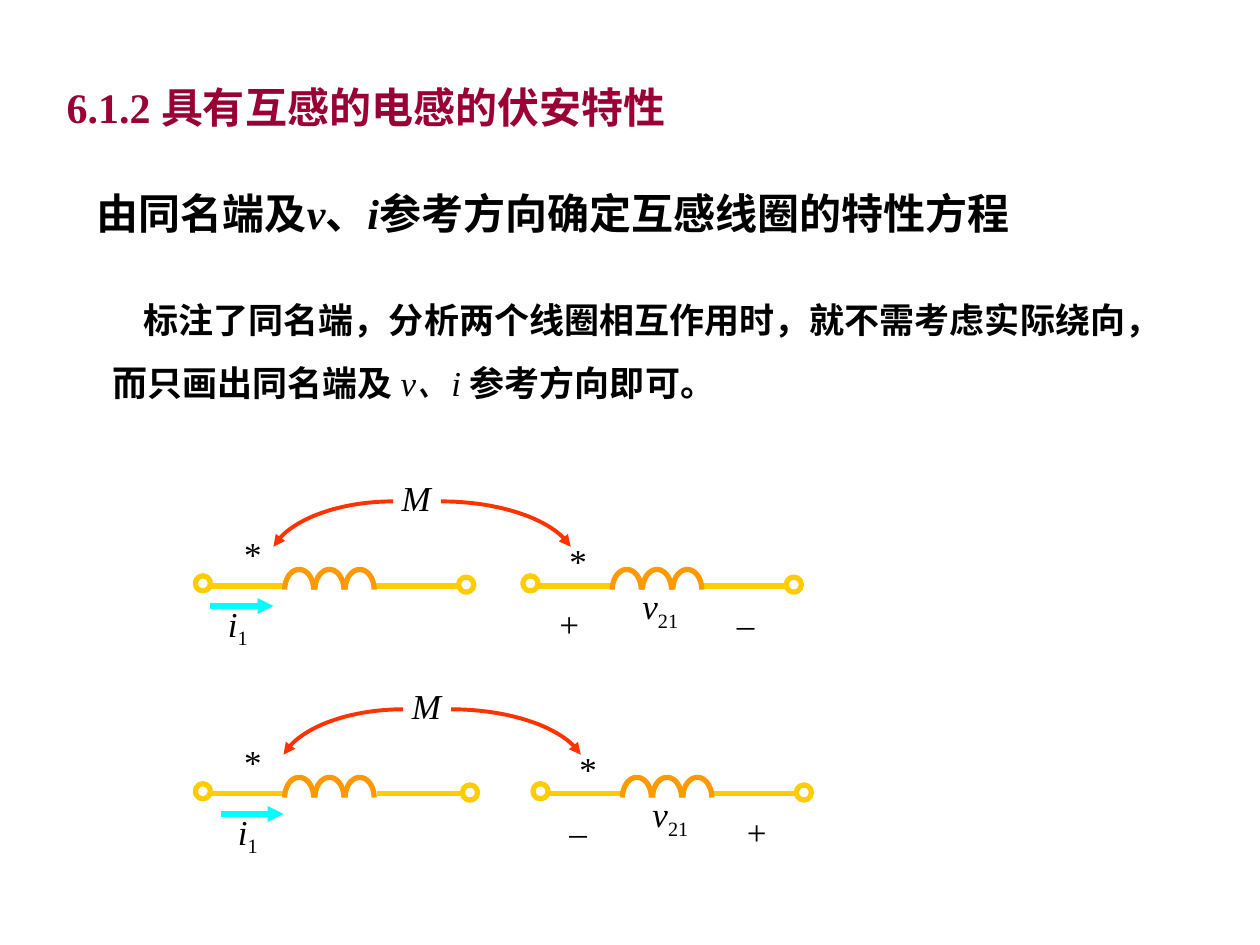
from math import cos, pi, sin

from lxml.etree import SubElement
from pptx import Presentation
from pptx.dml.color import RGBColor
from pptx.enum.shapes import MSO_CONNECTOR, MSO_SHAPE
from pptx.enum.text import MSO_ANCHOR
from pptx.oxml.ns import qn
from pptx.util import Inches, Pt

COLORS = {"text": "000000", "title": "990033", "wire": "FFCC00",
          "coil": "FF9900", "current": "00FFFF", "coupling": "FF3300"}
LATIN, CHINESE = "Times New Roman", "Noto Sans CJK SC"


class CircuitSlide:
    def __init__(self, prs):
        self.slide = prs.slides.add_slide(prs.slide_layouts[6])
        self.shapes = self.slide.shapes

    def style_line(self, line, color, width, arrow=False):
        line.color.rgb = RGBColor.from_string(COLORS[color])
        line.width = Pt(width)
        if arrow:
            SubElement(line._get_or_add_ln(), qn("a:tailEnd"), type="triangle")

    def text(self, x, y, w, h, runs, size=20, color="text", wrap=True,
             margin=0.1, indent=0, spacing=None, anchor=MSO_ANCHOR.TOP):
        """Each run is (text, flags): b bold, i italic, c Chinese, s subscript."""
        frame = self.shapes.add_textbox(
            Inches(x), Inches(y), Inches(w), Inches(h)).text_frame
        frame.word_wrap = wrap
        frame.vertical_anchor = anchor
        frame.margin_left = frame.margin_right = Inches(margin)
        paragraph = frame.paragraphs[0]
        if indent:
            paragraph._p.get_or_add_pPr().set("indent", str(Inches(indent)))
        if spacing:
            paragraph.line_spacing = spacing
        for content, flags in runs:
            run = paragraph.add_run()
            run.text = content
            font = run.font
            font.size = Pt(size)
            font.bold = "b" in flags
            font.italic = "i" in flags
            font.color.rgb = RGBColor.from_string(COLORS[color])
            font.name = CHINESE if "c" in flags else LATIN
            properties = run._r.get_or_add_rPr()
            SubElement(properties, qn("a:ea"), typeface=CHINESE)
            if "s" in flags:
                properties.set("baseline", "-25000")

    def line(self, x1, x2, y, color, arrow=False):
        connector = self.shapes.add_connector(
            MSO_CONNECTOR.STRAIGHT, Inches(x1), Inches(y), Inches(x2), Inches(y))
        self.style_line(connector.line, color, 3, arrow)
        SubElement(connector._element.spPr, qn("a:effectLst"))

    def curve(self, points, color, width, arrow=False):
        points = [(Inches(x), Inches(y)) for x, y in points]
        builder = self.shapes.build_freeform(*points[0])
        builder.add_line_segments(points[1:], close=False)
        outline = builder.convert_to_shape()
        outline.fill.background()
        outline.shadow.inherit = False
        self.style_line(outline.line, color, width, arrow)

    def terminal(self, x, y):
        ring = self.shapes.add_shape(
            MSO_SHAPE.OVAL, Inches(x), Inches(y), Inches(0.12), Inches(0.12))
        ring.fill.background()
        ring.shadow.inherit = False
        self.style_line(ring.line, "wire", 3)

    def inductor(self, x, y, stretch=0):
        """Two terminals at the ends, three coil turns between the wires."""
        self.line(x + 0.12, x + 0.7, y, "wire")
        self.line(x + 1.41 + stretch, x + 2.09 + stretch, y, "wire")
        self.terminal(x, y - 0.08)
        self.terminal(x + 2.09 + stretch, y - 0.07)
        radius, steps = 0.115, 24
        for turn in range(3):
            center = x + 0.825 + 0.24 * turn
            self.curve([(center - radius * cos(pi * k / steps),
                         y + 0.03 - 0.16 * sin(pi * k / steps))
                        for k in range(steps + 1)], "coil", 3)

    def coupling(self, start, reach, control, y):
        """Arrow that leaves M sideways and bends down to a coil."""
        nodes = [(start, y), (start + control, y),
                 (start + reach * 0.874, y + 0.15), (start + reach, y + 0.36)]
        steps = 24
        points = []
        for k in range(steps + 1):
            t = k / steps
            weights = ((1 - t) ** 3, 3 * t * (1 - t) ** 2, 3 * t * t * (1 - t), t ** 3)
            points.append(tuple(sum(w * node[axis] for w, node in zip(weights, nodes))
                                for axis in (0, 1)))
        self.curve(points, "coupling", 2.25, arrow=True)

    def circuit(self, y, shift, stretch, left_sign, right_sign):
        """y is the wire height; shift moves all but the first coil."""
        self.inductor(1.55, y, stretch)
        self.inductor(4.15 + shift, y)
        # Current and voltage
        self.line(1.67 + shift, 2.17 + shift, y + 0.16, "current", arrow=True)
        self.text(1.71 + shift, y + 0.08, 0.37, 0.44, [("i", "i"), ("1", "s")], wrap=False)
        self.text(5 + shift, y - 0.06, 0.51, 0.44, [("v", "i"), ("21", "s")], wrap=False)
        self.text(4.34 + shift, y + 0.08, 0.58, 0.44, [(left_sign, "")])
        self.text(5.75 + shift, y + 0.08, 0.42, 0.44, [(right_sign, "")])
        # Dotted ends
        self.text(1.84, y - 0.47, 0.34, 0.44, [("*", "")], wrap=False)
        self.text(4.42 + shift, y - 0.42, 0.37, 0.44, [("*", "")])
        # Mutual inductance
        self.coupling(3.5 + shift, 1.03, 0.48, y - 0.67)
        self.coupling(3.12 + shift, -0.95, -0.44, y - 0.67)
        self.text(3.09 + shift, y - 0.92, 0.5, 0.44, [("M", "i")])


def main():
    prs = Presentation()
    prs.slide_width, prs.slide_height = Inches(10), Inches(7.5)
    page = CircuitSlide(prs)

    # Heading and explanation
    page.text(0.43, 0.6, 9.06, 0.5, [("6.1.2 具有互感的电感的伏安特性", "b")],
              size=24, color="title", anchor=MSO_ANCHOR.MIDDLE)
    page.text(0.67, 1.44, 7.56, 0.5,
              [("由同名端及", "bc"), ("v", "bi"), ("、", "b"), ("i", "bi"),
               ("参考方向确定互感线圈的特性方程", "bc")], size=24)
    page.text(0.67, 2.15, 8.74, 1.11,
              [("标注了同名端，分析两个线圈相互作用时，就不需考虑实际绕向，"
                "而只画出同名端及 ", "bc"), ("v、i ", "i"), ("参考方向即可。", "bc")],
              margin=0.22, indent=0.25, spacing=1.5)

    # The two reference directions
    page.circuit(4.65, 0, 0, "+", "–")
    page.circuit(6.3, 0.08, 0.03, "–", "+")

    prs.save("out.pptx")


if __name__ == "__main__":
    main()
